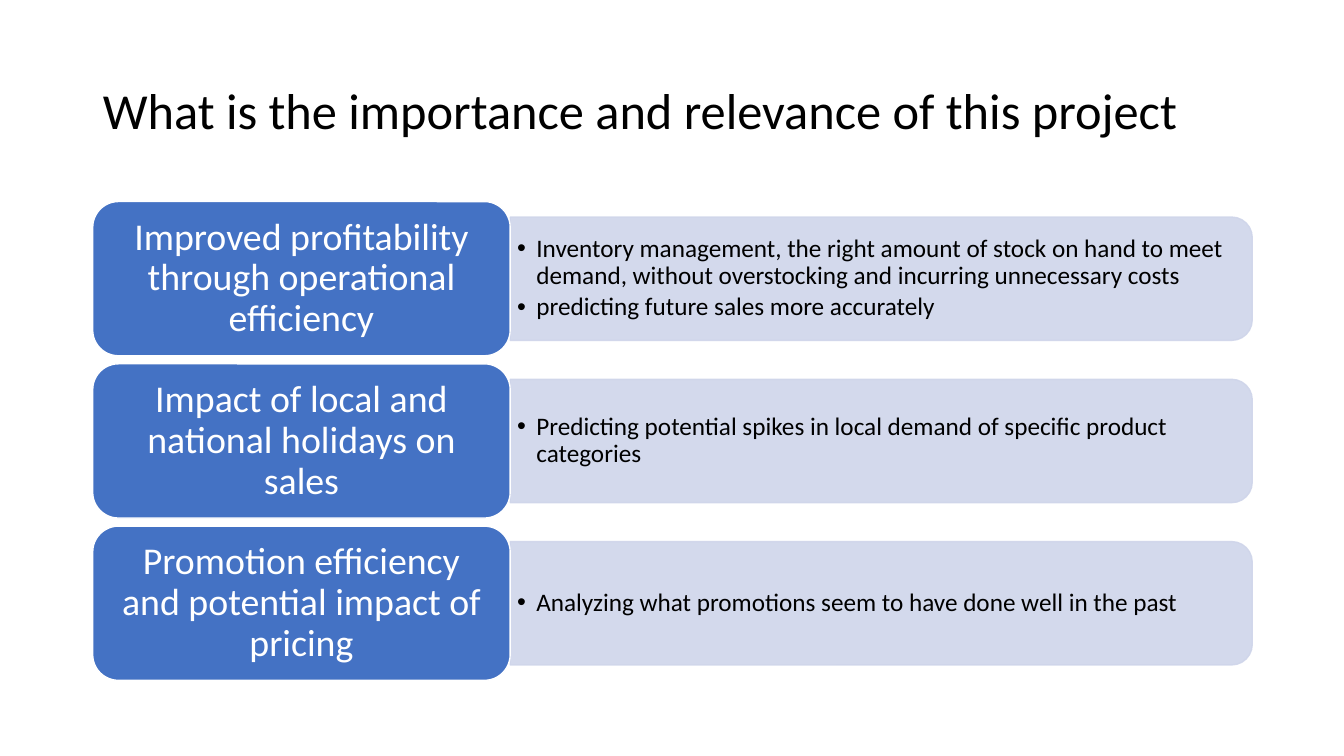
from lxml.etree import SubElement
from pptx import Presentation
from pptx.dml.color import RGBColor
from pptx.enum.shapes import MSO_SHAPE
from pptx.enum.text import MSO_ANCHOR, PP_ALIGN
from pptx.oxml.ns import qn
from pptx.util import Inches, Pt

TITLE = "What is the importance and relevance of this project"
ROWS = [
    ("Improved profitability through operational efficiency",
     ["Inventory management, the right amount of stock on hand to meet demand, "
      "without overstocking and incurring unnecessary costs",
      "predicting future sales more accurately"]),
    ("Impact of local and national holidays on sales",
     ["Predicting potential spikes in local demand of specific product categories"]),
    ("Promotion efficiency and potential impact of pricing",
     ["Analyzing what promotions seem to have done well in the past"]),
]
COLORS = {"text": "000000", "label": "4472C4", "panel": "CFD5EA", "white": "FFFFFF"}
FONT = "Calibri"

SLIDE_W, SLIDE_H = 13.33, 7.5
LEFT, WIDTH = 0.92, 11.5
TOP, PITCH = 2, 1.61
LABEL_W, LABEL_H = WIDTH * 0.36, 1.53
PANEL_W, PANEL_H = WIDTH - LABEL_W, LABEL_H * 0.8
PANEL_X = LEFT + LABEL_W


def box(x, y, w, h):
    """Return a position and size in inches as lengths."""
    return [Inches(v) for v in (x, y, w, h)]


def add_bar(kind, place, fill, line, alpha=None):
    """Add a filled preset shape without shadow, optionally translucent."""
    sp = slide.shapes.add_shape(kind, *place)
    sp.shadow.inherit = False
    sp.fill.solid()
    sp.fill.fore_color.rgb = RGBColor.from_string(COLORS[fill])
    sp.line.color.rgb = RGBColor.from_string(COLORS[line])
    sp.line.width = Pt(1)
    if alpha:
        for clr in sp._element.spPr.iter(qn("a:srgbClr")):
            SubElement(clr, qn("a:alpha"), val=str(alpha * 1000))
    return sp


def write(sp, texts, size, color="text", align=PP_ALIGN.LEFT, inset=(0.1, 0.05),
          after=0, bullet=False):
    """Fill a shape with formatted paragraphs, centred vertically."""
    tf = sp.text_frame
    tf.word_wrap = True
    tf.vertical_anchor = MSO_ANCHOR.MIDDLE
    tf.margin_left = tf.margin_right = Inches(inset[0])
    tf.margin_top = tf.margin_bottom = Inches(inset[1])
    for i, text in enumerate(texts):
        p = tf.paragraphs[0] if i == 0 else tf.add_paragraph()
        p.alignment, p.line_spacing, p.space_after = align, 0.9, Pt(size * after)
        r = p.add_run()
        r.text = text
        r.font.name, r.font.size = FONT, Pt(size)
        r.font.color.rgb = RGBColor.from_string(COLORS[color])
        if bullet:
            pPr = p._p.get_or_add_pPr()
            pPr.set("marL", str(Inches(0.19)))
            pPr.set("indent", str(-Inches(0.19)))
            SubElement(pPr, qn("a:buFont"), typeface="Arial")
            SubElement(pPr, qn("a:buChar"), char="•")


def add_row(y, label, points):
    """Add one row: a panel of points and the label that overlaps its edge."""
    mid = y + LABEL_H / 2
    panel_mid = PANEL_X + PANEL_W / 2
    # The panel is a tall shape turned a quarter, so its sides are swapped.
    panel = add_bar(MSO_SHAPE.ROUND_2_SAME_RECTANGLE,
                    box(panel_mid - PANEL_H / 2, mid - PANEL_W / 2, PANEL_H, PANEL_W),
                    "panel", "panel", alpha=90)
    panel.rotation = 90
    tb = slide.shapes.add_textbox(*box(PANEL_X, mid - 0.55, PANEL_W - 0.06, 1.1))
    write(tb, points, 18, inset=(0.07, 0.04), after=0.15, bullet=True)
    sp = add_bar(MSO_SHAPE.ROUNDED_RECTANGLE, box(LEFT, y, LABEL_W, LABEL_H),
                 "label", "white")
    write(sp, [label], 27, color="white", align=PP_ALIGN.CENTER,
          inset=(0.18, 0.13), after=0.35)


prs = Presentation()
prs.slide_width, prs.slide_height = Inches(SLIDE_W), Inches(SLIDE_H)
slide = prs.slides.add_slide(prs.slide_layouts[5])
title = slide.shapes.title
title.left, title.top, title.width, title.height = box(LEFT, 0.4, WIDTH, 1.45)
write(title, [TITLE], 36)
for i, (label, points) in enumerate(ROWS):
    add_row(TOP + i * PITCH, label, points)
prs.save("out.pptx")
